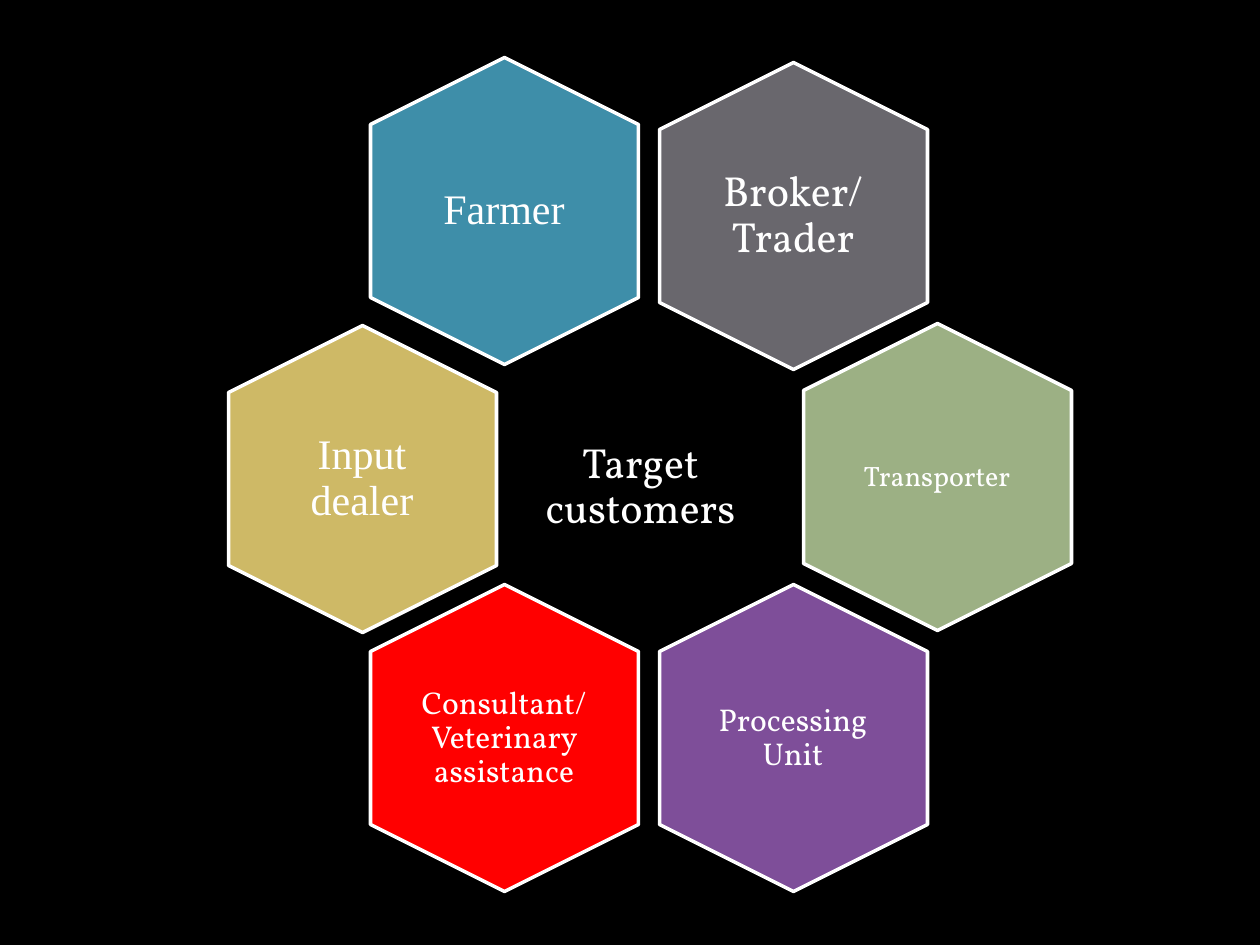
from pptx import Presentation
from pptx.dml.color import RGBColor
from pptx.enum.shapes import MSO_SHAPE
from pptx.enum.text import MSO_ANCHOR, PP_ALIGN
from pptx.util import Emu, Pt

HEXAGON = MSO_SHAPE.HEXAGON
MIDDLE = MSO_ANCHOR.MIDDLE
CENTER = PP_ALIGN.CENTER

PX_PER_INCH = 126
WHITE = "FFFFFF"
SERIF = "Times New Roman"
VOLLKORN = "Vollkorn"
CELL_SIZE = (307, 268)
LABEL_SIZE = (184, 212)
HUB_SIZE = (333, 185)

CUSTOMERS = [
    ("Broker/ Trader", 793, 216, "69676D", VOLLKORN, 24, 13),
    ("Farmer", 504, 211, "3E8EA9", SERIF, 24, 0),
    ("Input dealer", 362, 479, "CEB966", SERIF, 24, 13),
    ("Transporter", 937, 477, "9CB084", VOLLKORN, 16, 0),
    ("Processing Unit", 793, 738, "7E4E99", VOLLKORN, 18, 9),
    ("Consultant/ Veterinary assistance", 504, 738, "FF0000", VOLLKORN, 18, 0),
]


def px(length):
    return Emu(length * 914400 // PX_PER_INCH)


def color(value):
    return RGBColor.from_string(value)


def apply(target, values):
    for key, value in values.items():
        setattr(target, key, value)


def centered_box(center_x, center_y, size):
    width, height = size
    return (px(center_x - width // 2), px(center_y - height // 2),
            px(width), px(height))


class Diagram:
    def __init__(self, slide, text_color=WHITE, outline=WHITE):
        self.slide = slide
        self.text_color = text_color
        self.outline = outline

    def background(self, fill):
        backdrop = self.slide.background.fill
        backdrop.solid()
        backdrop.fore_color.rgb = color(fill)

    def cell(self, center_x, center_y, fill):
        hexagon = self.slide.shapes.add_shape(
            HEXAGON, *centered_box(center_x, center_y, CELL_SIZE))
        hexagon.rotation = 90
        hexagon.shadow.inherit = False
        hexagon.fill.solid()
        hexagon.fill.fore_color.rgb = color(fill)
        hexagon.line.color.rgb = color(self.outline)
        hexagon.line.width = Pt(2)

    def label(self, wording, center_x, center_y, size, font, points, inset):
        frame = self.slide.shapes.add_textbox(
            *centered_box(center_x, center_y, size)).text_frame
        margins = {f"margin_{side}": px(inset)
                   for side in ("left", "top", "right", "bottom")}
        apply(frame, {"word_wrap": True, "vertical_anchor": MIDDLE, **margins})
        paragraph = frame.paragraphs[0]
        apply(paragraph, {"alignment": CENTER, "line_spacing": 0.9})
        run = paragraph.add_run()
        run.text = wording
        apply(run.font, {"name": font, "size": Pt(points)})
        run.font.color.rgb = color(self.text_color)


def main():
    deck = Presentation()
    apply(deck, {"slide_width": px(1260), "slide_height": px(945)})
    diagram = Diagram(deck.slides.add_slide(deck.slide_layouts[6]))
    diagram.background("000000")
    for customer, x, y, fill, font, points, inset in CUSTOMERS:
        diagram.cell(x, y, fill)
        diagram.label(customer, x, y, LABEL_SIZE, font, points, inset)
    diagram.label("Target customers", 640, 487, HUB_SIZE, VOLLKORN, 24, 13)
    deck.save("out.pptx")


if __name__ == "__main__":
    main()
